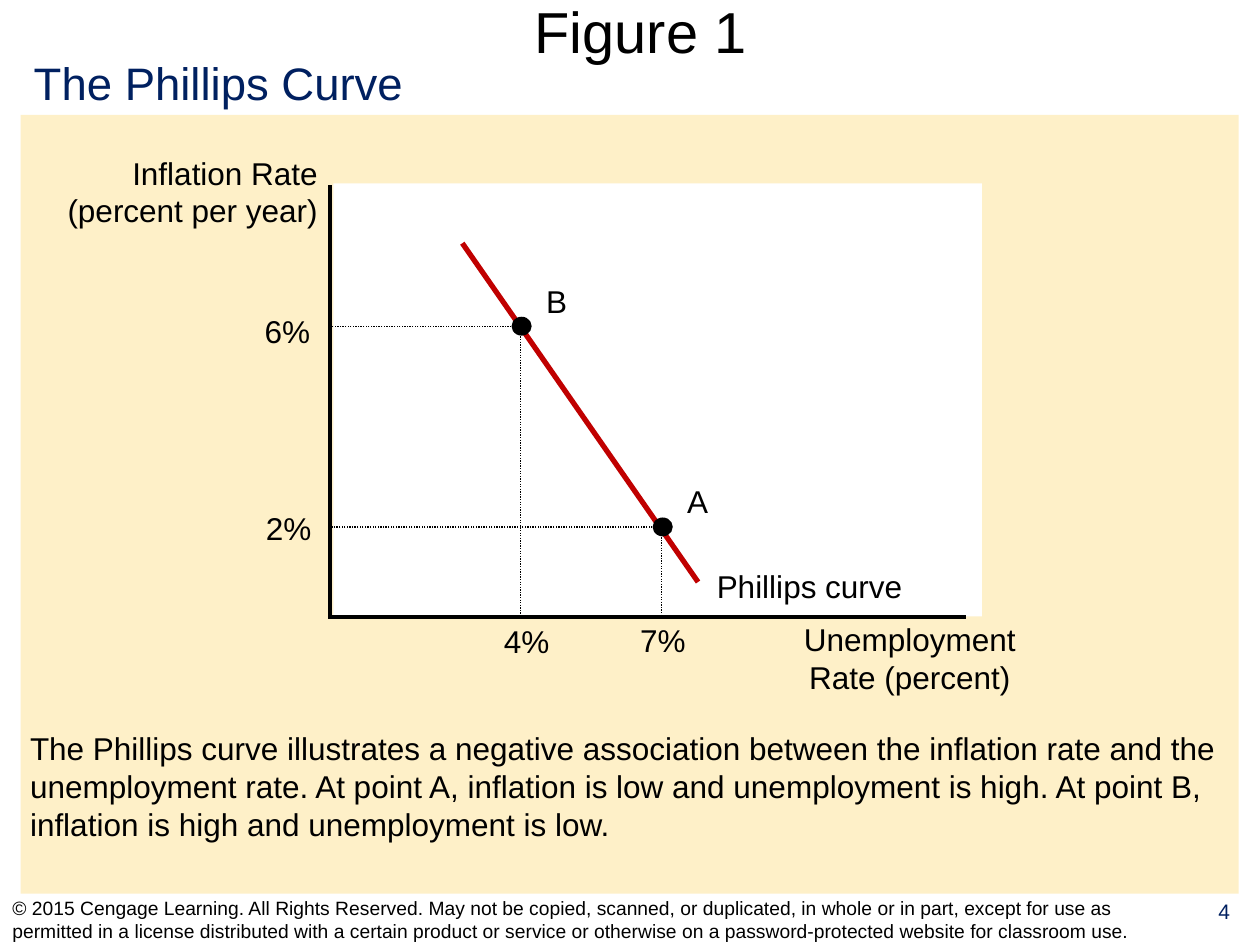
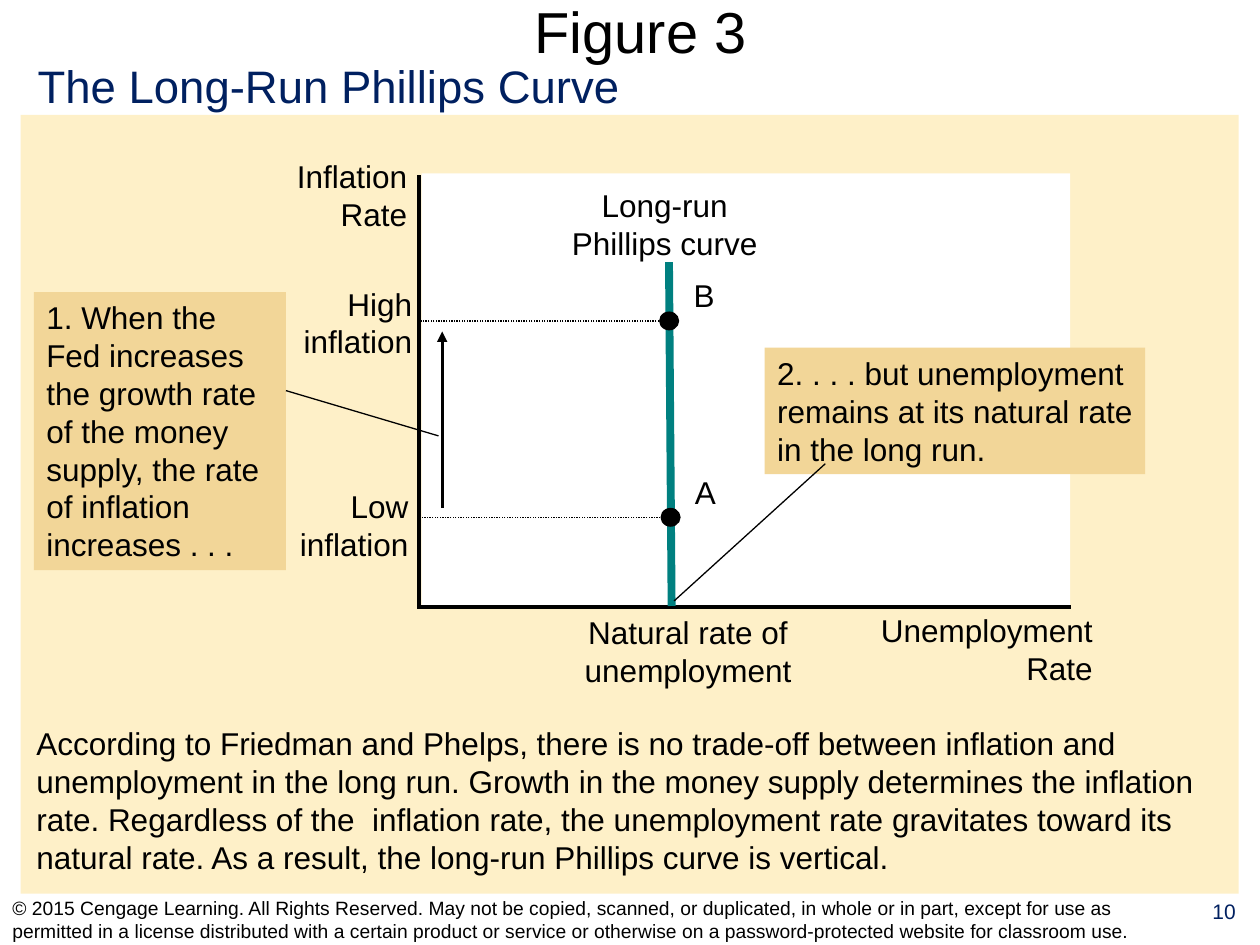
from dataclasses import dataclass

from lxml import etree
from pptx import Presentation
from pptx.dml.color import RGBColor
from pptx.enum.dml import MSO_LINE
from pptx.enum.shapes import MSO_CONNECTOR, MSO_SHAPE
from pptx.enum.text import MSO_ANCHOR, PP_ALIGN
from pptx.oxml.ns import qn
from pptx.util import Pt

LEFT, MID, RIGHT = PP_ALIGN.LEFT, PP_ALIGN.CENTER, PP_ALIGN.RIGHT
TOP, CENTER = MSO_ANCHOR.TOP, MSO_ANCHOR.MIDDLE
RECT, OVAL = MSO_SHAPE.RECTANGLE, MSO_SHAPE.OVAL
LINE, DOTS = MSO_CONNECTOR.STRAIGHT, MSO_LINE.ROUND_DOT


@dataclass(frozen=True)
class Theme:
    font: str = "Arial"
    ink: str = "000000"
    navy: str = "002060"
    white: str = "FFFFFF"
    cream: str = "FEF0C8"
    sand: str = "F2D698"
    red: str = "C00000"
    teal: str = "008080"
    title: float = 33
    head: float = 26
    text: float = 18
    page: float = 12
    note: float = 11


THEME = Theme()
SLACK = 8
NOTICE = (
    "© 2015 Cengage Learning. All Rights Reserved. May not be copied, "
    "scanned, or duplicated, in whole or in part, except for use as "
    "permitted in a license distributed with a certain product or service "
    "or otherwise on a password-protected website for classroom use."
)


def place(shape, left, top, width, height):
    shape.left, shape.top = Pt(left), Pt(top)
    shape.width, shape.height = Pt(width), Pt(height)


def write(shape, text, size=THEME.text, color=THEME.ink, align=LEFT,
          wrap=True, anchor=TOP):
    frame = shape.text_frame
    frame.text = text
    frame.word_wrap = wrap
    frame.vertical_anchor = anchor
    for para in frame.paragraphs:
        para.alignment = align
        for run in para.runs:
            run.font.name = THEME.font
            run.font.size = Pt(size)
            run.font.color.rgb = RGBColor.from_string(color)


def label(slide, text, left, top, width, height, **style):
    box = slide.shapes.add_textbox(Pt(left), Pt(top), Pt(width), Pt(height))
    write(box, text, **style)


def tag(slide, text, left, top, width, align=MID):
    height = 7.2 + 21.7 * (text.count("\n") + 1)
    shift = SLACK if align == RIGHT else SLACK / 2
    label(slide, text, left - shift, top, width + SLACK, height,
          align=align)


def block(slide, kind, fill, left, top, width, height):
    shape = slide.shapes.add_shape(
        kind, Pt(left), Pt(top), Pt(width), Pt(height))
    shape.shadow.inherit = False
    shape.fill.solid()
    shape.fill.fore_color.rgb = RGBColor.from_string(fill)
    shape.line.fill.background()
    return shape


def stroke(slide, start, end, width=0.75, color=THEME.ink, dash=None,
           arrow=False):
    line = slide.shapes.add_connector(
        LINE, Pt(start[0]), Pt(start[1]), Pt(end[0]), Pt(end[1]))
    line.line.color.rgb = RGBColor.from_string(color)
    line.line.width = Pt(width)
    if dash:
        line.line.dash_style = dash
    props = line._element.spPr
    if arrow:
        tip = etree.SubElement(props.find(qn("a:ln")), qn("a:tailEnd"))
        tip.set("type", "triangle")
    etree.SubElement(props, qn("a:effectLst"))


def dot(slide, name, x, y):
    block(slide, OVAL, THEME.ink, x - 5.75, y - 5.4, 11.5, 10.8)
    tag(slide, name, x + 7, y - 29, 25.9)


def plot(slide, left, top, axis, end):
    base = top + 247
    block(slide, RECT, THEME.white, left - 1, top - 1, 370.6, 247.5)
    stroke(slide, (axis, top), (axis, base), 2.25)
    stroke(slide, (axis - 1, base), (end, base), 2.25)


def callout(slide, text, left, top, width, height, start, end, wrap=True):
    box = block(slide, RECT, THEME.sand, left, top, width, height)
    write(box, text, wrap=wrap)
    stroke(slide, start, end)


def page(deck, title, head, left, top, number):
    slide = deck.slides.add_slide(deck.slide_layouts[5])
    name = slide.shapes.title
    place(name, 25.2, 0, 681.8, 35.3)
    write(name, title, THEME.title, align=MID, anchor=CENTER)
    block(slide, RECT, THEME.cream, 11.8, 65.7, 696, 445)
    label(slide, head, left, top, 600, 38.9, size=THEME.head,
          color=THEME.navy)
    label(slide, NOTICE, 0, 511.2, 678.2, 28.8, size=THEME.note,
          anchor=CENTER)
    label(slide, number, 679, 509.8, 41, 29.5, size=THEME.page,
          color=THEME.navy, align=MID)
    return slide


def short(deck):
    slide = page(deck, "Figure 1", "The Phillips Curve", 12.2, 28.1, "4")
    plot(slide, 191.5, 105.8, 188.7, 552.2)
    tag(slide, "Inflation Rate\n(percent per year)", 31.7, 84.2, 157, RIGHT)
    tag(slide, "Unemployment\nRate (percent)", 452.2, 350.6, 135.4)
    stroke(slide, (264.2, 139), (398.9, 332.6), 3, THEME.red)
    tag(slide, "Phillips curve", 402.5, 320.4, 120.2)
    points = (
        ("B", 298.1, 186.4, "6%", 144, 175, "4%", 280.8, 352.1),
        ("A", 378.7, 301.1, "2%", 144.7, 287.5, "7%", 358.6, 351.4),
    )
    for name, x, y, rate, left, top, jobs, side, low in points:
        stroke(slide, (x, y), (187.9, y), dash=DOTS)
        stroke(slide, (x - 0.8, y), (x - 0.8, 352.8), dash=DOTS)
        tag(slide, rate, left, top, 40.3, RIGHT)
        tag(slide, jobs, side, low, 40.3)
        dot(slide, name, x, y)
    label(slide, "The Phillips curve illustrates a negative association "
          "between the inflation rate and the unemployment rate. At point A, "
          "inflation is low and unemployment is high. At point B, inflation "
          "is high and unemployment is low.", 10.1, 413.3, 701.3, 72)


def long(deck):
    slide = page(deck, "Figure 3", "The Long-Run Phillips Curve",
                 14.4, 29.5, "10")
    plot(slide, 241.9, 100.1, 239.5, 612)
    tag(slide, "Inflation\nRate", 162.7, 86.4, 77, RIGHT)
    tag(slide, "Unemployment\nRate", 496.1, 345.6, 135.4, RIGHT)
    stroke(slide, (382.3, 149.8), (383.8, 346.3), 4.5, THEME.teal)
    tag(slide, "Long-run\nPhillips curve", 319.7, 103, 120.2)
    tag(slide, "Natural rate of\nunemployment", 326.9, 347, 132.5)
    points = (
        ("B", 382.4, 183.4, "High", 166.3, 159.1),
        ("A", 383.2, 295.6, "Low", 164.2, 275),
    )
    for name, x, y, rate, left, top in points:
        stroke(slide, (x, y), (238.3, y), dash=DOTS)
        tag(slide, rate + "\ninflation", left, top, 76.3, RIGHT)
        dot(slide, name, x, y)
    stroke(slide, (252.7, 290.2), (252.7, 189.4), 1.5, arrow=True)
    callout(slide, "1. When the Fed increases the growth rate of the money "
            "supply, the rate of inflation increases . . .",
            19.4, 167, 144, 158.8, (250.6, 249.1), (163.4, 223.2))
    callout(slide, "2. . . . but unemployment\nremains at its natural rate\n"
            "in the long run.", 437, 198.7, 217.4, 72.3,
            (385.2, 343.4), (471.6, 265), wrap=False)
    label(slide, "According to Friedman and Phelps, there is no trade-off "
          "between inflation and unemployment in the long run. Growth in the "
          "money supply determines the inflation rate. Regardless of the  "
          "inflation rate, the unemployment rate gravitates toward its "
          "natural rate. As a result, the long-run Phillips curve is "
          "vertical.", 13.7, 410.4, 700.6, 93.6)


def main():
    deck = Presentation()
    deck.slide_width, deck.slide_height = Pt(720), Pt(540)
    short(deck)
    long(deck)
    deck.save("out.pptx")


if __name__ == "__main__":
    main()
